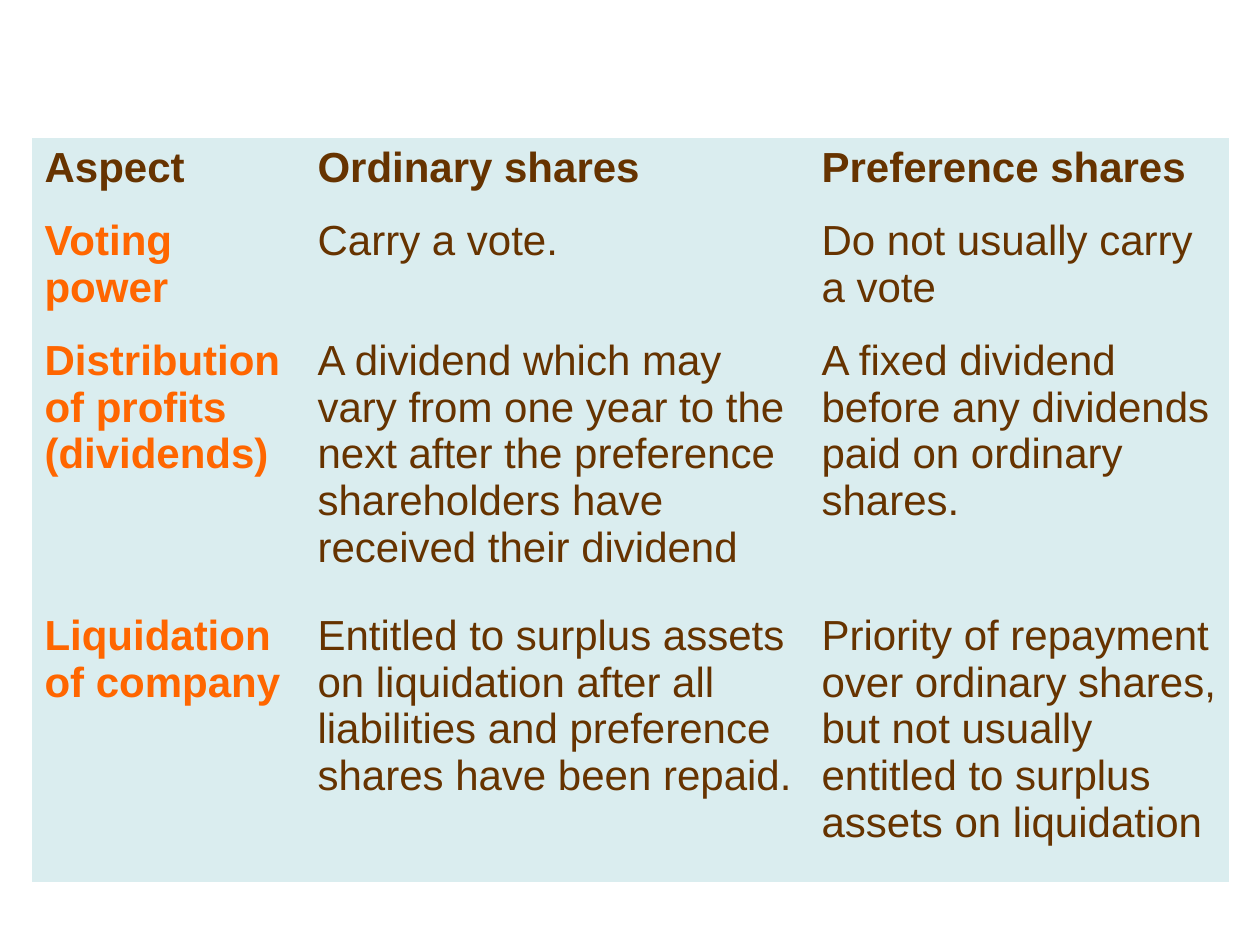
from pptx import Presentation
from pptx.dml.color import RGBColor
from pptx.oxml.ns import qn
from pptx.util import Emu, Pt

COLORS = {"cell": "DAEDEF", "text": "663300", "aspect": "FF6600"}
NO_STYLE_NO_GRID = "{2D5ABB26-0587-4C30-8999-92F81FD0307C}"

COMPARISON = [
    ("Aspect", "Ordinary shares", "Preference shares"),
    ("Voting power", "Carry a vote.", "Do not usually carry a vote"),
    (
        "Distribution of profits (dividends)",
        "A dividend which may vary from one year to the next after the "
        "preference shareholders have received their dividend",
        "A fixed dividend before any dividends paid on ordinary shares.",
    ),
    (
        "Liquidation of company",
        "Entitled to surplus assets on liquidation after all liabilities "
        "and preference shares have been repaid.",
        "Priority of repayment over ordinary shares, but not usually "
        "entitled to surplus assets on liquidation",
    ),
]
COLUMN_WIDTHS = (273, 504, 420)
ROW_HEIGHTS = (73, 120, 275, 276)
TABLE_LEFT, TABLE_TOP = 32, 138


def px(count):
    return Emu(round(count * 914400 / 126))


def write_cell(cell, wording, color, bold):
    cell.fill.solid()
    cell.fill.fore_color.rgb = RGBColor.from_string(COLORS["cell"])
    run = cell.text_frame.paragraphs[0].add_run()
    run.text = wording
    font_format = {"name": "Arial", "size": Pt(24), "bold": bold}
    for attribute, value in font_format.items():
        setattr(run.font, attribute, value)
    run.font.color.rgb = RGBColor.from_string(COLORS[color])


def main():
    prs = Presentation()
    prs.slide_width, prs.slide_height = px(1260), px(945)
    slide = prs.slides.add_slide(prs.slide_layouts[6])

    frame = slide.shapes.add_table(
        len(ROW_HEIGHTS), len(COLUMN_WIDTHS), px(TABLE_LEFT), px(TABLE_TOP),
        px(sum(COLUMN_WIDTHS)), px(sum(ROW_HEIGHTS)),
    )
    shares = frame.table
    shares.first_row = shares.horz_banding = False
    frame._element.find(f".//{qn('a:tableStyleId')}").text = NO_STYLE_NO_GRID

    for column, width in zip(shares.columns, COLUMN_WIDTHS):
        column.width = px(width)
    for row, height in zip(shares.rows, ROW_HEIGHTS):
        row.height = px(height)

    for r, entries in enumerate(COMPARISON):
        for c, wording in enumerate(entries):
            is_header, is_aspect = r == 0, c == 0
            color = "aspect" if is_aspect and not is_header else "text"
            write_cell(shares.cell(r, c), wording, color, is_header or is_aspect)

    prs.save("out.pptx")


if __name__ == "__main__":
    main()
